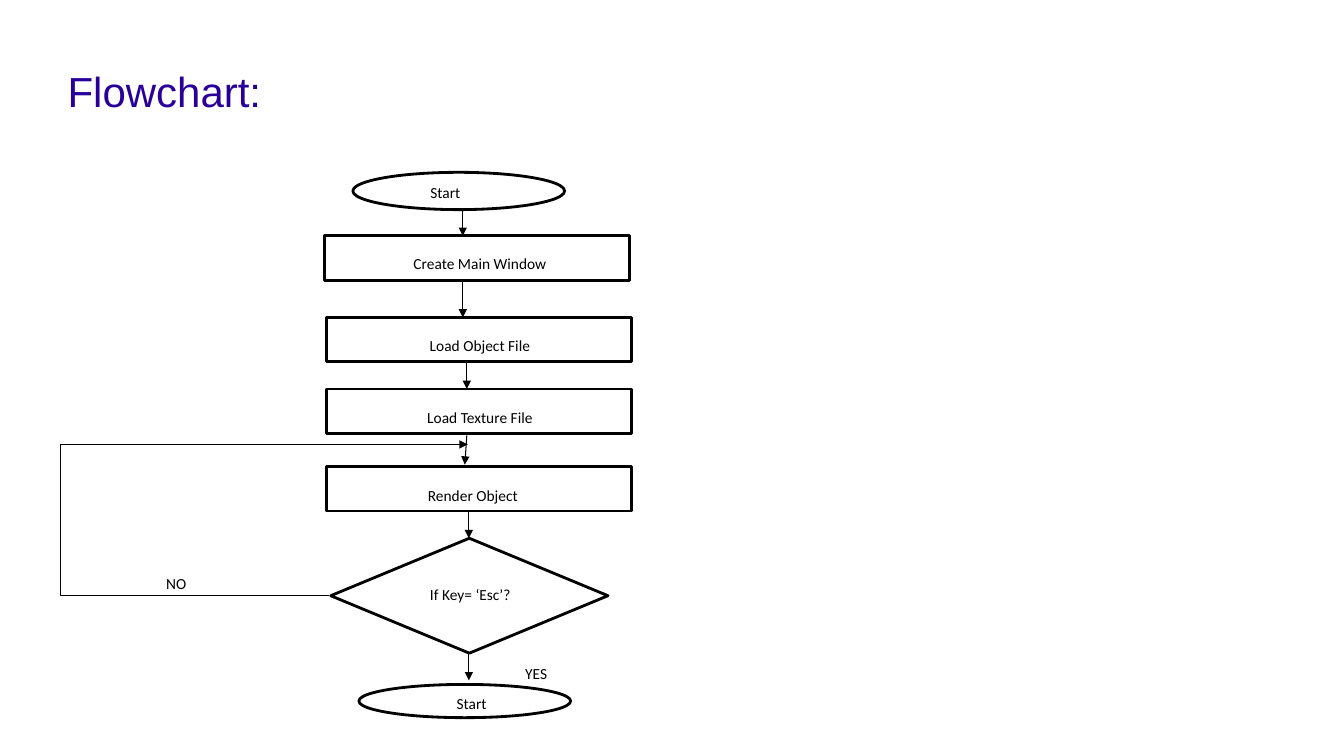
from lxml import etree
from pptx import Presentation
from pptx.dml.color import RGBColor
from pptx.enum.shapes import MSO_CONNECTOR, MSO_SHAPE
from pptx.enum.text import MSO_ANCHOR, PP_ALIGN
from pptx.oxml.ns import qn
from pptx.util import Inches, Pt

COLORS = {"title": "280099", "ink": "000000"}

# Outlines: shape, left, top, width, height
OUTLINES = [
    (MSO_SHAPE.OVAL, 3.5, 1.71, 2.1, 0.37),
    (MSO_SHAPE.RECTANGLE, 3.22, 2.34, 3.02, 0.44),
    (MSO_SHAPE.RECTANGLE, 3.24, 3.15, 3.02, 0.44),
    (MSO_SHAPE.RECTANGLE, 3.24, 3.86, 3.02, 0.44),
    (MSO_SHAPE.RECTANGLE, 3.24, 4.63, 3.02, 0.44),
    (MSO_SHAPE.FLOWCHART_DECISION, 3.28, 5.34, 2.75, 1.14),
    (MSO_SHAPE.OVAL, 3.56, 6.79, 2.1, 0.33),
]

# Labels: text, left, top, width, height, alignment
LABELS = [
    ("Start", 4.17, 1.68, 0.74, 0.37, PP_ALIGN.LEFT),
    ("Create Main Window", 3.4, 2.38, 2.72, 0.35, PP_ALIGN.CENTER),
    ("Load Object File", 3.4, 3.19, 2.72, 0.35, PP_ALIGN.CENTER),
    ("Load Texture File", 3.4, 3.91, 2.72, 0.35, PP_ALIGN.CENTER),
    ("Render Object", 3.38, 4.68, 2.62, 0.28, PP_ALIGN.CENTER),
    ("If Key= ‘Esc’?", 3.95, 5.66, 1.43, 0.48, PP_ALIGN.CENTER),
    ("Start", 4.43, 6.74, 1.4, 0.22, PP_ALIGN.LEFT),
    ("NO", 1.55, 5.55, 1.4, 0.22, PP_ALIGN.LEFT),
    ("YES", 5.11, 6.45, 1.4, 0.22, PP_ALIGN.LEFT),
]

# Downward arrows: start x, start y, end x, end y
ARROWS = [
    (4.59, 2.07, 4.59, 2.34),
    (4.59, 2.78, 4.59, 3.15),
    (4.63, 3.59, 4.63, 3.86),
    (4.63, 4.32, 4.61, 4.61),
    (4.65, 5.07, 4.65, 5.34),
    (4.65, 6.48, 4.65, 6.75),
]
LOOP_BACK = (3.26, 5.91, 4.64, 4.41)
LOOP_LEFT = 0.6


def color(name):
    return RGBColor.from_string(COLORS[name])


def write_text(paragraph, text, size=11, font="Calibri", ink="ink",
               align=PP_ALIGN.LEFT, line_spacing=1.5, space_after=12):
    paragraph.alignment = align
    paragraph.line_spacing = line_spacing
    paragraph.space_after = Pt(space_after)
    run = paragraph.add_run()
    run.text = text
    run.font.size = Pt(size)
    run.font.name = font
    run.font.color.rgb = color(ink)


def add_title(slide, text):
    title = slide.shapes.title
    title.left, title.top = Inches(0.67), Inches(0.3)
    title.width, title.height = Inches(12), Inches(1.25)
    frame = title.text_frame
    frame.vertical_anchor = MSO_ANCHOR.MIDDLE
    frame.margin_left = frame.margin_right = 0
    frame.margin_top = frame.margin_bottom = 0
    write_text(frame.paragraphs[0], text, size=30, font="Arial", ink="title",
               line_spacing=0.93, space_after=0)


def add_outline(slide, kind, *box):
    shape = slide.shapes.add_shape(kind, *map(Inches, box))
    shape.shadow.inherit = False
    shape.fill.background()
    shape.line.color.rgb = color("ink")
    shape.line.width = Pt(2)


def add_label(slide, text, left, top, width, height, align):
    box = slide.shapes.add_textbox(*map(Inches, (left, top, width, height)))
    box.text_frame.word_wrap = True
    write_text(box.text_frame.paragraphs[0], text, align=align)


def add_arrow(slide, kind, *ends):
    connector = slide.shapes.add_connector(kind, *map(Inches, ends))
    connector.line.color.rgb = color("ink")
    connector.line.width = Pt(0.75)
    properties = connector._element.spPr
    line = properties.find(qn("a:ln"))
    etree.SubElement(line, qn("a:tailEnd"), type="triangle")
    etree.SubElement(properties, qn("a:effectLst"))
    return connector


def add_loop_back(slide):
    connector = add_arrow(slide, MSO_CONNECTOR.ELBOW, *LOOP_BACK)
    start_x, _, end_x, _ = LOOP_BACK
    # The bend is placed as a share of the connector's width
    bend = round((LOOP_LEFT - start_x) / (end_x - start_x) * 100000)
    geometry = connector._element.spPr.find(qn("a:prstGeom"))
    adjustments = geometry.find(qn("a:avLst"))
    if adjustments is None:
        adjustments = etree.SubElement(geometry, qn("a:avLst"))
    etree.SubElement(adjustments, qn("a:gd"), name="adj1", fmla=f"val {bend}")


def main():
    presentation = Presentation()
    presentation.slide_width = Inches(13.33)
    presentation.slide_height = Inches(7.5)
    slide = presentation.slides.add_slide(presentation.slide_layouts[5])

    add_title(slide, "Flowchart:")

    # Flowchart
    for outline in OUTLINES:
        add_outline(slide, *outline)
    for arrow in ARROWS:
        add_arrow(slide, MSO_CONNECTOR.STRAIGHT, *arrow)
    add_loop_back(slide)
    for label in LABELS:
        add_label(slide, *label)

    presentation.save("out.pptx")


if __name__ == "__main__":
    main()
